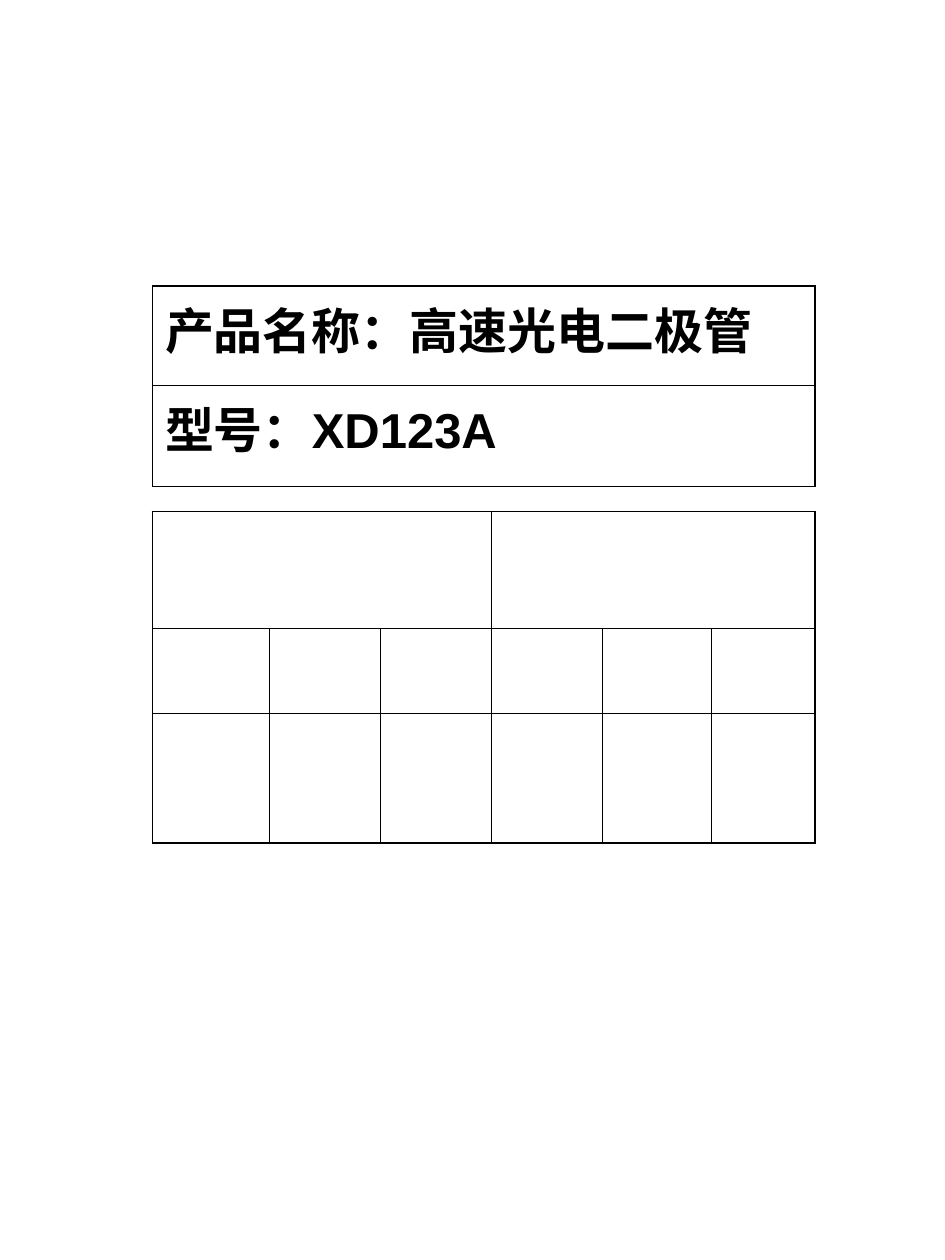
from lxml.etree import SubElement
from pptx import Presentation
from pptx.dml.color import RGBColor
from pptx.oxml.ns import qn
from pptx.util import Inches, Pt

BLACK = RGBColor(0, 0, 0)
FONT = "Arial"
FRAME, HAIRLINE = 1.08, 0.45  # border widths in points

# Layout in inches
LEFT = 1.21
TITLE_TOP, TITLE_COLUMNS, TITLE_ROWS = 2.27, [5.26], [0.79, 0.8]
RECORD_TOP = 4.06
RECORD_COLUMNS = [0.93, 0.88, 0.88, 0.88, 0.87, 0.82]
RECORD_ROWS = [0.93, 0.67, 1.03]
HEADING_SPAN = 3

PRODUCT_LINES = ["产品名称：高速光电二极管", "型号：XD123A"]


def add_border(cell, side, width):
    line = SubElement(cell._tc.get_or_add_tcPr(), qn(f"a:ln{side}"), w=str(Pt(width)))
    fill = SubElement(line, qn("a:solidFill"))
    SubElement(fill, qn("a:srgbClr"), val=str(BLACK))


def rule_table(table):
    """Heavy frame outside, hairlines inside, no fill."""
    last_row, last_column = len(table.rows), len(table.columns)
    for r in range(last_row):
        for c in range(last_column):
            cell = table.cell(r, c)
            if not cell.is_spanned:
                span = cell.span_width if cell.is_merge_origin else 1
                on_frame = {"L": c == 0, "R": c + span == last_column,
                            "T": r == 0, "B": r + 1 == last_row}
                for side, heavy in on_frame.items():
                    add_border(cell, side, FRAME if heavy else HAIRLINE)
            cell.fill.background()


def add_grid(slide, top, columns, rows):
    table = slide.shapes.add_table(
        len(rows), len(columns), Inches(LEFT), Inches(top),
        Inches(sum(columns)), Inches(sum(rows))).table
    table.first_row = table.horz_banding = False
    for column, width in zip(table.columns, columns):
        column.width = Inches(width)
    for row, height in zip(table.rows, rows):
        row.height = Inches(height)
    return table


def write_line(cell, text):
    cell.text = text
    paragraph = cell.text_frame.paragraphs[0]
    paragraph.space_before = Pt(7)
    font = paragraph.font
    font.name, font.size, font.bold = FONT, Pt(28), True
    font.color.rgb = BLACK


def main():
    prs = Presentation()
    prs.slide_width, prs.slide_height = Inches(7.5), Inches(10)
    slide = prs.slides.add_slide(prs.slide_layouts[6])

    # Product name and model
    title = add_grid(slide, TITLE_TOP, TITLE_COLUMNS, TITLE_ROWS)
    for r, text in enumerate(PRODUCT_LINES):
        write_line(title.cell(r, 0), text)
    rule_table(title)

    # Blank record form with two wide heading cells
    record = add_grid(slide, RECORD_TOP, RECORD_COLUMNS, RECORD_ROWS)
    for start in range(0, len(RECORD_COLUMNS), HEADING_SPAN):
        record.cell(0, start).merge(record.cell(0, start + HEADING_SPAN - 1))
    rule_table(record)

    prs.save("out.pptx")


if __name__ == "__main__":
    main()
